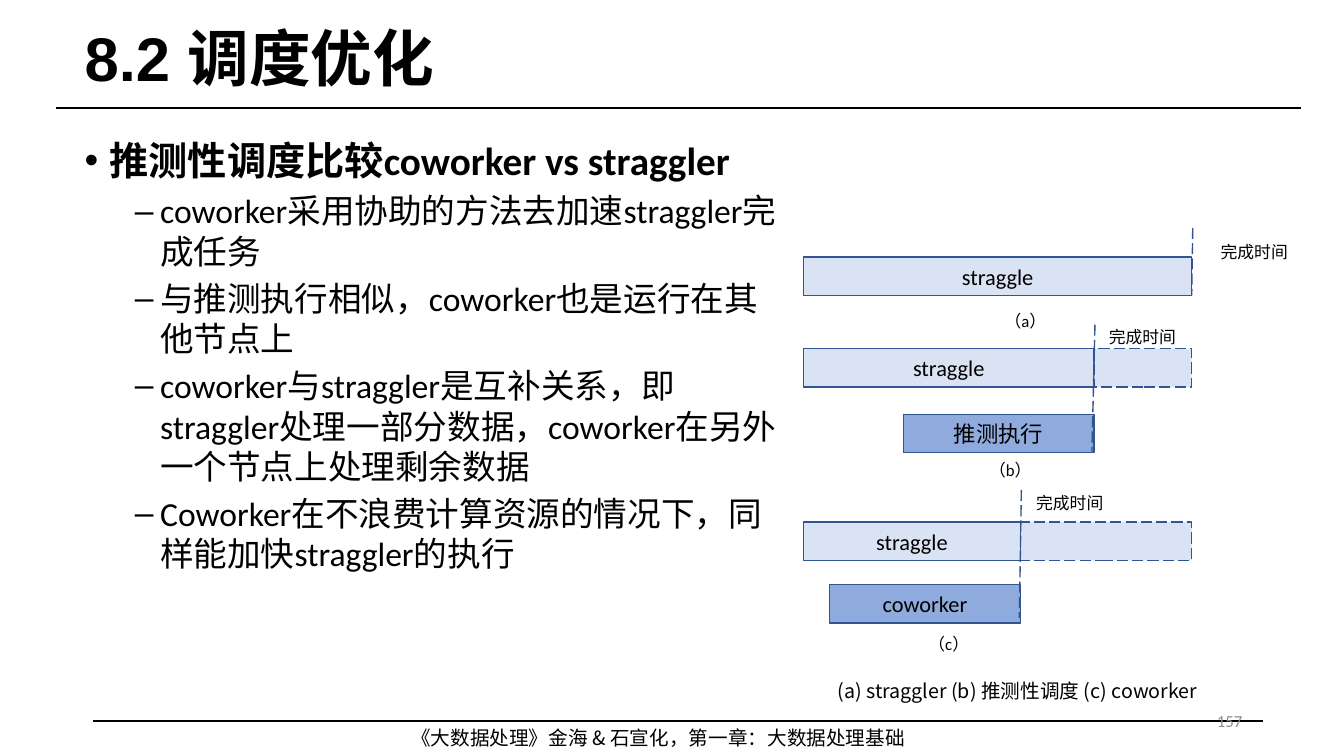
from lxml import etree
from pptx import Presentation
from pptx import util as u
from pptx.dml.color import RGBColor
from pptx.enum import dml, shapes, text
from pptx.oxml.ns import qn

COLOURS = {"ink": "000000", "grey": "8C8C8C", "edge": "325491",
           "task": "DAE3F3", "helper": "8FAADC"}
CELL = 0.1  # inches per grid column and row
CJK = "Noto Sans CJK SC"
ALIGN = text.PP_ALIGN
MIDDLE = text.MSO_ANCHOR.MIDDLE

POINTS = [
    "coworker采用协助的方法去加速straggler完成任务",
    "与推测执行相似，coworker也是运行在其他节点上",
    "coworker与straggler是互补关系，即straggler处理一部分数据，coworker在另外一个节点上处理剩余数据",
    "Coworker在不浪费计算资源的情况下，同样能加快straggler的执行",
]

# Grid cells from the diagram's corner; finish is (rise, length, slant).
CASES = [
    dict(row=4.2, done=38.5, finish=(2.9, 6.7, 0.1), time_at=(38.6, 0),
         caption="（a）", caption_at=(15.9, 6.8)),
    dict(row=13.3, done=28.8, finish=(2.4, 12.6, 0.3), time_at=(27.5, 8.4),
         caption="（b）", caption_at=(14.4, 21.6), helper="推测执行", helper_row=19.8),
    dict(row=30.5, done=21.5, finish=(3.2, 12.7, 0.2), time_at=(20.3, 24.9),
         caption="（c）", caption_at=(8.3, 38.9), helper="coworker", helper_row=36.7),
]


def cells(*counts):
    return [u.Inches(count * CELL) for count in counts]


def colour(name):
    return RGBColor.from_string(COLOURS[name])


def write(paragraph, words, size, font="Calibri", ink="ink", bold=False,
          align=ALIGN.LEFT, spacing=None, before=0):
    paragraph.alignment = align
    paragraph.space_before = u.Pt(before)
    if spacing:
        paragraph.line_spacing = spacing
    run = paragraph.add_run()
    run.text = words
    run.font.size = u.Pt(size)
    run.font.name = font
    run.font.bold = bold
    run.font.color.rgb = colour(ink)
    latin = run.font._element.find(qn("a:latin"))
    east_asian = etree.Element(qn("a:ea"), typeface=CJK)
    latin.addnext(east_asian)


def add_text(slide, box, words=None, anchor=text.MSO_ANCHOR.TOP, wrap=True, **style):
    frame = slide.shapes.add_textbox(*cells(*box)).text_frame
    frame.word_wrap = wrap
    frame.vertical_anchor = anchor
    if words:
        write(frame.paragraphs[0], words, **style)
    return frame


def style_line(line, ink, width, dashed):
    line.color.rgb = colour(ink)
    line.width = u.Pt(width)
    if dashed:
        line.dash_style = dml.MSO_LINE.LONG_DASH


def add_line(slide, start, end, ink="ink", width=1, dashed=False):
    connector = slide.shapes.add_connector(
        shapes.MSO_CONNECTOR.STRAIGHT, *cells(*start, *end))
    style_line(connector.line, ink, width, dashed)
    etree.SubElement(connector._element.spPr, qn("a:effectLst"))


def add_block(slide, box, words="", size=16, fill=None, dashed=False,
              kind=shapes.MSO_SHAPE.RECTANGLE):
    """Draw a bar, or a bare label when there is no fill."""
    block = slide.shapes.add_shape(kind, *cells(*box))
    block.shadow.inherit = False
    if fill:
        block.fill.solid()
        block.fill.fore_color.rgb = colour(fill)
        style_line(block.line, "edge", 1, dashed)
    else:
        block.fill.background()
        block.line.fill.background()
    if words:
        block.text_frame.vertical_anchor = MIDDLE
        write(block.text_frame.paragraphs[0], words, size, align=ALIGN.CENTER)


def add_label(slide, left, top, words):
    add_block(slide, (left, top, 12.2, 7.4), words, size=12,
              kind=shapes.MSO_SHAPE.ROUNDED_RECTANGLE)


def add_header(slide, box):
    left, top, width, height = box
    add_text(slide, (left + 1.8, top, width - 3.9, height), "8.2 调度优化",
             anchor=MIDDLE, size=44, font="Arial", bold=True, spacing=0.9)
    add_line(slide, (left, top + height), (left + width, top + height), width=1.75)


def add_footer(slide, box):
    left, top, width, height = box
    add_line(slide, (left, top), (left + width, top), width=1.25)
    add_text(slide, (left + 30.6, top, 53.7, height),
             "《大数据处理》金海 & 石宣化，第一章：大数据处理基础", size=14, font=CJK)
    add_text(slide, (left + 85, top - 2, 30, 4), "157", anchor=MIDDLE,
             size=12, ink="grey", align=ALIGN.RIGHT)


def add_bullet(paragraph, mark, margin):
    properties = paragraph._p.get_or_add_pPr()
    properties.set("marL", str(u.Inches(margin)))
    properties.set("indent", str(u.Inches(-0.25)))
    etree.SubElement(properties, qn("a:buFont"), typeface="Arial")
    etree.SubElement(properties, qn("a:buChar"), char=mark)


def add_body(slide, box):
    frame = add_text(slide, box)
    heading = frame.paragraphs[0]
    add_bullet(heading, "•", 0.25)
    write(heading, "推测性调度比较coworker vs straggler", 28, bold=True, spacing=u.Pt(36))
    for point in POINTS:
        paragraph = frame.add_paragraph()
        paragraph.level = 1
        add_bullet(paragraph, "–", 0.75)
        write(paragraph, point, 24, spacing=u.Pt(28.75), before=5)


def add_case(slide, left, top, width, case):
    """Draw one schedule: its task bar, helper bar, finish line and labels."""
    bar, helper_width = 3.8, 18.9
    row, done = top + case["row"], left + case["done"]
    add_block(slide, (left, row, case["done"], bar), "straggle", fill="task")
    if "helper" in case:
        add_block(slide, (done, row, width - case["done"], bar), fill="task", dashed=True)
        add_block(slide, (done - helper_width, top + case["helper_row"], helper_width, bar),
                  case["helper"], fill="helper")
    rise, length, slant = case["finish"]
    add_line(slide, (done + 0.1, row - rise), (done + 0.1 - slant, row - rise + length),
             ink="edge", dashed=True)
    for (across, down), words in ((case["time_at"], "完成时间"),
                                  (case["caption_at"], case["caption"])):
        add_label(slide, left + across, top + down, words)


def add_diagram(slide, box):
    left, top, width, height = box
    for case in CASES:
        add_case(slide, left, top, width, case)
    add_text(slide, (left + 2.4, top + height - 3.4, 39, 3.4),
             "(a) straggler (b) 推测性调度 (c) coworker", wrap=False, size=14, font=CJK)


def main():
    presentation = Presentation()
    presentation.slide_width, presentation.slide_height = u.Inches(13.33), u.Inches(7.5)
    slide = presentation.slides.add_slide(presentation.slide_layouts[6])
    add_header(slide, (5.6, 1.5, 123.4, 9.2))
    add_footer(slide, (9.2, 71.5, 116.1, 3.4))
    add_body(slide, (7.4, 12.7, 71.6, 54.9))
    add_diagram(slide, (79.7, 21.3, 38.5, 49))
    presentation.save("out.pptx")


if __name__ == "__main__":
    main()
